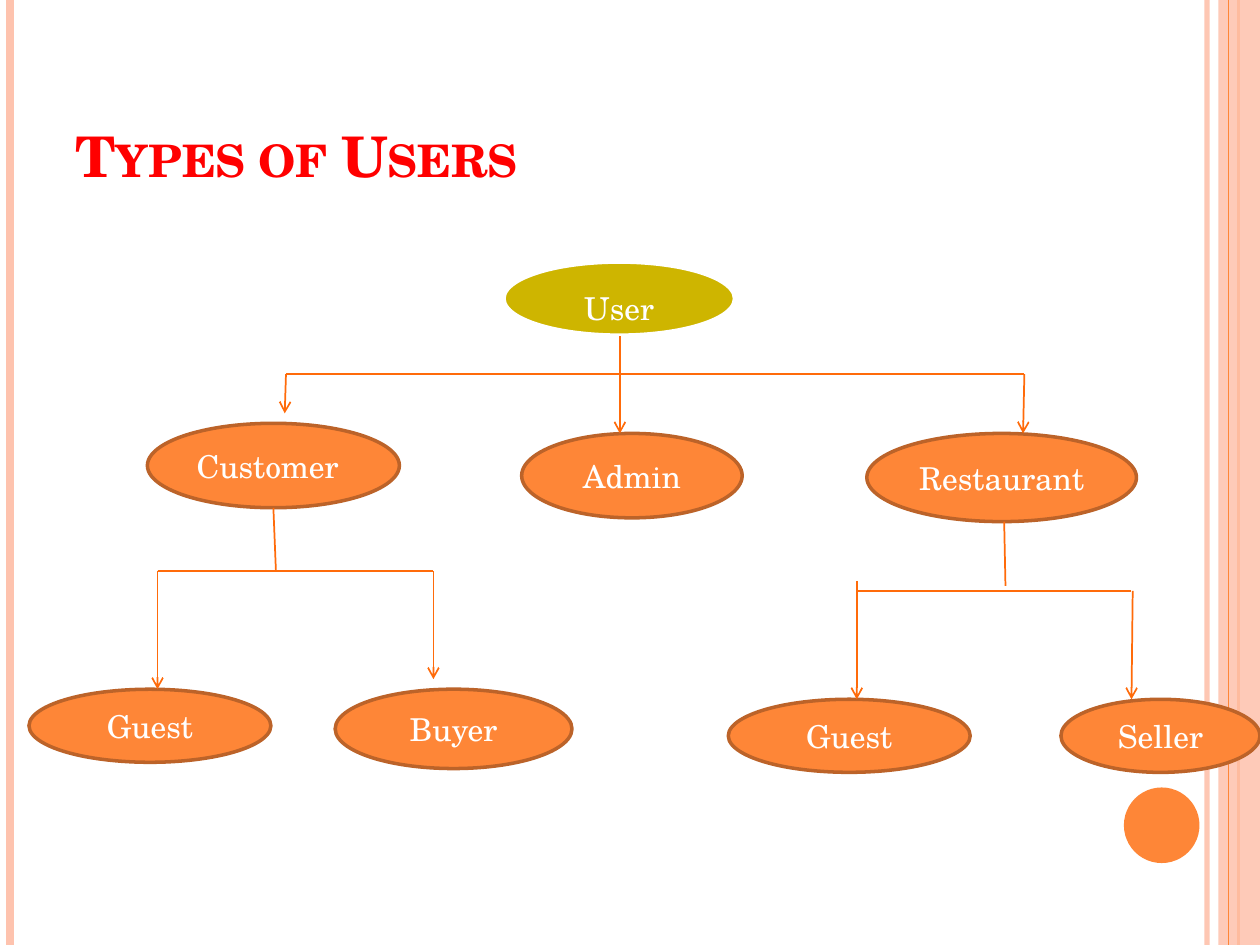
from dataclasses import dataclass

from lxml import etree
from pptx import Presentation
from pptx.dml.color import RGBColor
from pptx.enum.shapes import MSO_CONNECTOR, MSO_SHAPE
from pptx.enum.text import MSO_ANCHOR, PP_ALIGN
from pptx.oxml.ns import qn
from pptx.util import Inches, Pt

STRAIGHT = MSO_CONNECTOR.STRAIGHT
OVAL, RECTANGLE = MSO_SHAPE.OVAL, MSO_SHAPE.RECTANGLE
LEFT, CENTER = PP_ALIGN.LEFT, PP_ALIGN.CENTER
MIDDLE, BOTTOM = MSO_ANCHOR.MIDDLE, MSO_ANCHOR.BOTTOM

FONT = "TeX Gyre Schola"
WHITE, RED = "FFFFFF", "FF0000"
ORANGE, DARK_ORANGE, ARROW_ORANGE = "FE8637", "BC6329", "FF6B0A"
PINK, OLIVE = "FEC3AE", "CEB500"

presentation = Presentation()
presentation.slide_width, presentation.slide_height = Inches(10), Inches(7.5)
slide = presentation.slides.add_slide(presentation.slide_layouts[6])

# Grid of 100 columns by 75 rows
COLUMNS, ROWS = 100, 75
COLUMN = presentation.slide_width / COLUMNS
ROW = presentation.slide_height / ROWS


@dataclass
class Role:
    name: str
    left: float
    top: float
    width: float
    height: float
    fill: str = ORANGE
    outline: str = DARK_ORANGE
    align: PP_ALIGN = CENTER


@dataclass
class Line:
    start: tuple[float, float]
    end: tuple[float, float]
    color: str = ARROW_ORANGE
    weight: float = 1
    arrow: bool = False
    opacity: int = 100


def set_color(target, color: str, opacity: int = 100) -> None:
    """Color a fill or a font, optionally translucent."""
    if hasattr(target, "solid"):
        target.solid()
        target.fore_color.rgb = RGBColor.from_string(color)
        if opacity < 100:
            element = target._xPr.find(qn("a:solidFill"))[0]
            etree.SubElement(element, qn("a:alpha"), val=str(opacity * 1000))
    else:
        target.color.rgb = RGBColor.from_string(color)


def box(left: float, top: float, width: float, height: float) -> tuple[int, ...]:
    return (round(left * COLUMN), round(top * ROW),
            round(width * COLUMN), round(height * ROW))


def draw_line(line: Line) -> None:
    (x1, y1), (x2, y2) = line.start, line.end
    connector = slide.shapes.add_connector(
        STRAIGHT, round(x1 * COLUMN), round(y1 * ROW), round(x2 * COLUMN), round(y2 * ROW))
    connector.line.width = Pt(line.weight)
    set_color(connector.line.fill, line.color, line.opacity)
    if line.arrow:
        etree.SubElement(connector.line._get_or_add_ln(), qn("a:tailEnd"), type="arrow")
    etree.SubElement(connector._element.spPr, qn("a:effectLst"))


def draw_shape(kind, bounds: tuple[float, ...], fill: str, opacity: int = 100):
    shape = slide.shapes.add_shape(kind, *box(*bounds))
    shape.shadow.inherit = False
    set_color(shape.fill, fill, opacity)
    shape.line.fill.background()
    return shape


def write(shape, text: str, size: float, color: str, align, anchor):
    """Put one formatted paragraph in a shape and return the paragraph."""
    frame = shape.text_frame
    frame.text = text
    frame.word_wrap = True
    frame.vertical_anchor = anchor
    paragraph = frame.paragraphs[0]
    paragraph.alignment = align
    font = paragraph.runs[0].font
    font.name, font.size = FONT, Pt(size)
    set_color(font, color)
    return paragraph


def draw_role(role: Role):
    shape = draw_shape(OVAL, (role.left, role.top, role.width, role.height), role.fill)
    set_color(shape.line.fill, role.outline)
    shape.line.width = Pt(2)
    return write(shape, role.name, 18, WHITE, role.align, MIDDLE)


def rule(x: float, color: str, weight: float, opacity: int = 100) -> None:
    """Draw a vertical stripe over the full height of the slide."""
    draw_line(Line((x, 0), (x, ROWS), color, weight, opacity=opacity))


# Side stripes and corner disc
rule(95.8, PINK, 3, opacity=93)
rule(0.8, PINK, 4.5)
rule(98.3, ORANGE, 1.5)
draw_shape(RECTANGLE, (96.7, 0, 3.3, ROWS), PINK, opacity=87)
rule(97.5, ORANGE, 0.75)
draw_shape(OVAL, (89.2, 62.5, 6, 6), ORANGE)

# Title
title = slide.shapes.add_textbox(*box(5, 3, 81.7, 12.5))
title_font = write(title, "Types of Users", 32, RED, LEFT, BOTTOM).runs[0].font
title_font.bold = True
title_font._element.set("cap", "small")

# Root of the tree
root = draw_role(Role("User", 40, 20.8, 18.3, 5.8, OLIVE, WHITE))
root.line_spacing = 1.5

# Roles below the root
ROLES = [
    Role("Admin", 41.4, 34.4, 17.5, 6.7),
    Role("Customer", 11.7, 33.6, 20, 6.7, align=LEFT),
    Role("Restaurant", 68.8, 34.4, 21.4, 7),
    Role("Guest", 2.3, 54.7, 19.2, 5.8),
    Role("Guest", 57.8, 55.5, 19.2, 5.8),
    Role("Buyer", 26.6, 54.7, 18.8, 6.3),
    Role("Seller", 84.2, 55.5, 15.8, 5.8),
]
for role in ROLES:
    draw_role(role)

# Branches: a stem, a crossbar and an arrow to each child
BRANCHES = [
    Line((49.2, 26.7), (49.2, 30.5)),
    Line((22.7, 29.7), (81.3, 29.7)),
    Line((22.7, 29.7), (22.6, 32.8), arrow=True),
    Line((49.2, 29.7), (49.2, 34.4), arrow=True),
    Line((81.3, 29.7), (81.2, 34.4), arrow=True),
    Line((21.7, 40.3), (21.9, 45.3)),
    Line((12.5, 45.3), (34.4, 45.3)),
    Line((12.5, 45.3), (12.5, 54.7), arrow=True),
    Line((34.4, 45.3), (34.4, 53.9), arrow=True),
    Line((79.7, 41.4), (79.8, 46.5)),
    Line((68, 46.9), (89.8, 46.9)),
    Line((68, 46.1), (68, 55.5), arrow=True),
    Line((89.9, 46.9), (89.8, 55.5), arrow=True),
]
for branch in BRANCHES:
    draw_line(branch)

presentation.save("out.pptx")
